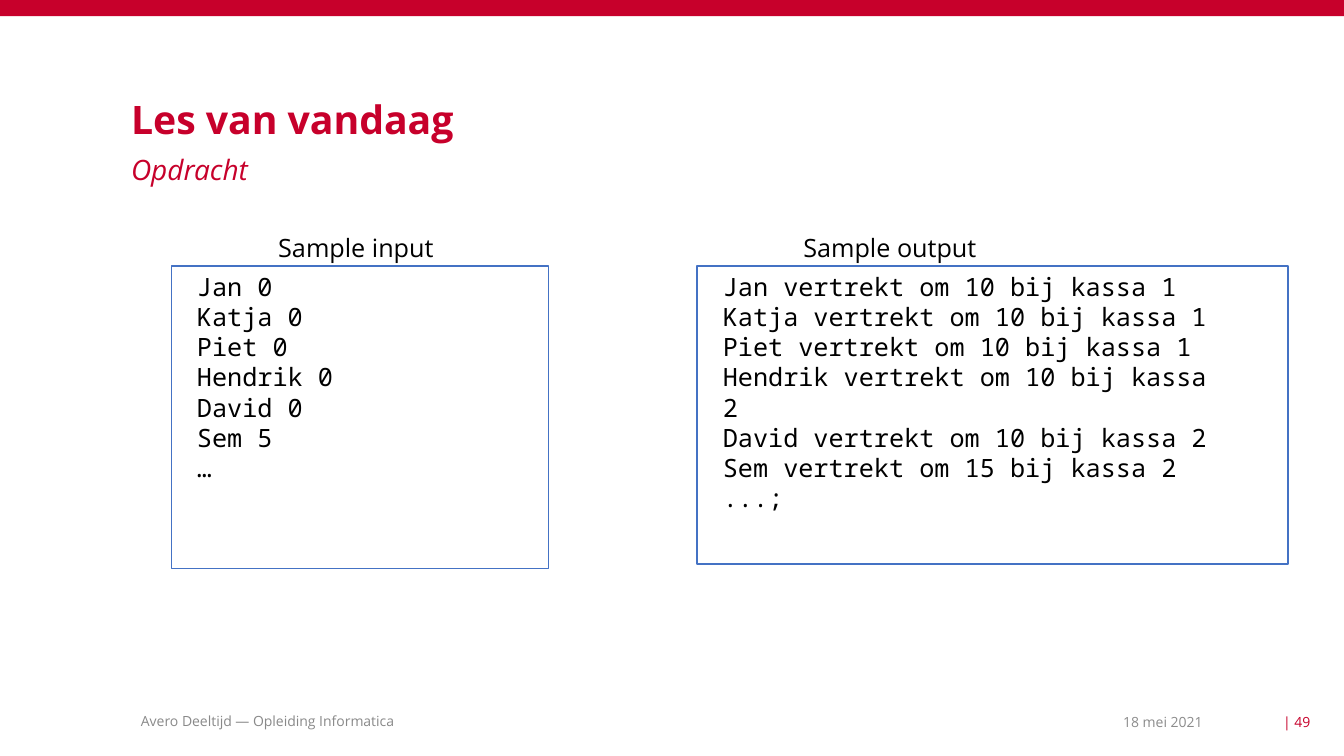
from dataclasses import dataclass

from lxml.etree import SubElement
from pptx import Presentation
from pptx.dml.color import RGBColor as RGB
from pptx.enum.shapes import MSO_SHAPE as SHAPE
from pptx.enum.text import MSO_ANCHOR as ANCHOR, MSO_AUTO_SIZE as FIT, PP_ALIGN as ALIGN
from pptx.oxml.ns import qn
from pptx.util import Pt


@dataclass(frozen=True)
class Theme:
    """Colours, fonts and type sizes of the deck."""
    red: str = "C7002B"
    blue: str = "4472C4"
    black: str = "000000"
    white: str = "FFFFFF"
    date: str = "8C8C8C"
    footer: str = "898989"
    sans: str = "Open Sans"
    mono: str = "Noto Sans Mono"
    title: int = 28
    subtitle: int = 20
    text: int = 18
    small: int = 10


def apply(obj, values):
    """Set every attribute in a dict of format values."""
    for name, value in values.items():
        setattr(obj, name, value)


class Slide:
    """Holds the theme and the current slide."""

    def __init__(self, prs, layout, theme):
        """Add a slide with the given layout."""
        self.theme = theme
        self.s = prs.slides.add_slide(prs.slide_layouts[layout])

    def box(self, at, fill, line=None):
        """Draw a rectangle, outlined if a line colour is given."""
        sp = self.s.shapes.add_shape(SHAPE.RECTANGLE, *map(Pt, at))
        sp.shadow.inherit = False
        sp.fill.solid()
        sp.fill.fore_color.rgb = RGB.from_string(fill)
        if line:
            sp.line.color.rgb = RGB.from_string(line)
            sp.line.width = Pt(1)
        else:
            sp.line.fill.background()

    def fill_text(self, sp, lines, size, color, font=None, inset=(0, 0),
                  anchor=ANCHOR.TOP, para=None, style=None):
        """Fill a shape with one paragraph per line."""
        tf, (dx, dy) = sp.text_frame, map(Pt, inset)
        apply(tf, dict(word_wrap=True, auto_size=FIT.NONE, vertical_anchor=anchor,
                       margin_left=dx, margin_right=dx, margin_top=dy, margin_bottom=dy))
        for i, line in enumerate(lines):
            p = tf.add_paragraph() if i else tf.paragraphs[0]
            apply(p, dict(alignment=ALIGN.LEFT, space_before=Pt(0)) | (para or {}))
            r = p.add_run()
            r.text = line
            apply(r.font, dict(name=font or self.theme.sans, size=Pt(size)) | (style or {}))
            r.font.color.rgb = RGB.from_string(color)

    def place(self, idx, at, line, size, color, **fmt):
        """Move and fill a template placeholder, without bullets."""
        sp = self.s.placeholders[idx]
        apply(sp, dict(zip(("left", "top", "width", "height"), map(Pt, at))))
        self.fill_text(sp, [line], size, color, **fmt)
        if idx:
            pPr = sp.text_frame.paragraphs[0]._p.get_or_add_pPr()
            pPr.set("marL", "0")
            pPr.set("indent", "0")
            SubElement(pPr, qn("a:buNone"))

    def text(self, at, lines, size, color, **fmt):
        """Add a text box."""
        self.fill_text(self.s.shapes.add_textbox(*map(Pt, at)), lines, size, color, **fmt)


def main():
    """Build the assignment slide with sample input and output."""
    prs = Presentation()
    apply(prs, dict(slide_width=Pt(960), slide_height=Pt(540)))
    t = Theme()
    s = Slide(prs, 3, t)
    after = dict(space_after=Pt(6))
    inset = (7.2, 3.6)

    s.box((0, 0, 960, 11.5), t.red)
    s.place(0, (93.6, 72, 609, 28), "Les van vandaag", t.title, t.red,
            para=dict(line_spacing=0.9), style=dict(bold=True))
    s.place(1, (93.6, 108.7, 610, 28), "Opdracht", t.subtitle, t.red,
            para=after, style=dict(italic=True))
    s.place(2, (198.7, 165.6, 129, 42), "Sample input", t.text, t.black, para=after)
    s.text((573.8, 165.6, 157, 42), ["Sample output"], t.text, t.black, para=after)

    arrivals = [("Jan", 0), ("Katja", 0), ("Piet", 0),
                ("Hendrik", 0), ("David", 0), ("Sem", 5)]
    sample_input = [f"{name} {time}" for name, time in arrivals] + ["…"]
    sample_output = [f"{name} vertrekt om {time + 10} bij kassa {1 + i // 3}"
                     for i, (name, time) in enumerate(arrivals)] + ["...;"]
    samples = [(122.4, 269.3, 216, 129, sample_input),
               (498, 422, 213, 362, sample_output)]
    for left, width, height, text_width, lines in samples:
        s.box((left, 190, width, height), t.white, t.blue)
        s.text((left + 11.2, 190, text_width, 160), lines, t.text, t.black,
               font=t.mono, inset=inset)

    right = dict(alignment=ALIGN.RIGHT)
    s.text((93.6, 506, 482, 17.3), ["Avero Deeltijd — Opleiding Informatica"],
           t.small, t.footer, inset=inset, anchor=ANCHOR.MIDDLE)
    s.text((643, 507, 216, 17.3), ["18 mei 2021"], t.small, t.date,
           anchor=ANCHOR.MIDDLE, para=right)
    s.text((872, 507, 64, 17.3), ["| 49"], t.small, t.red,
           anchor=ANCHOR.MIDDLE, para=right)
    prs.save("out.pptx")


main()
